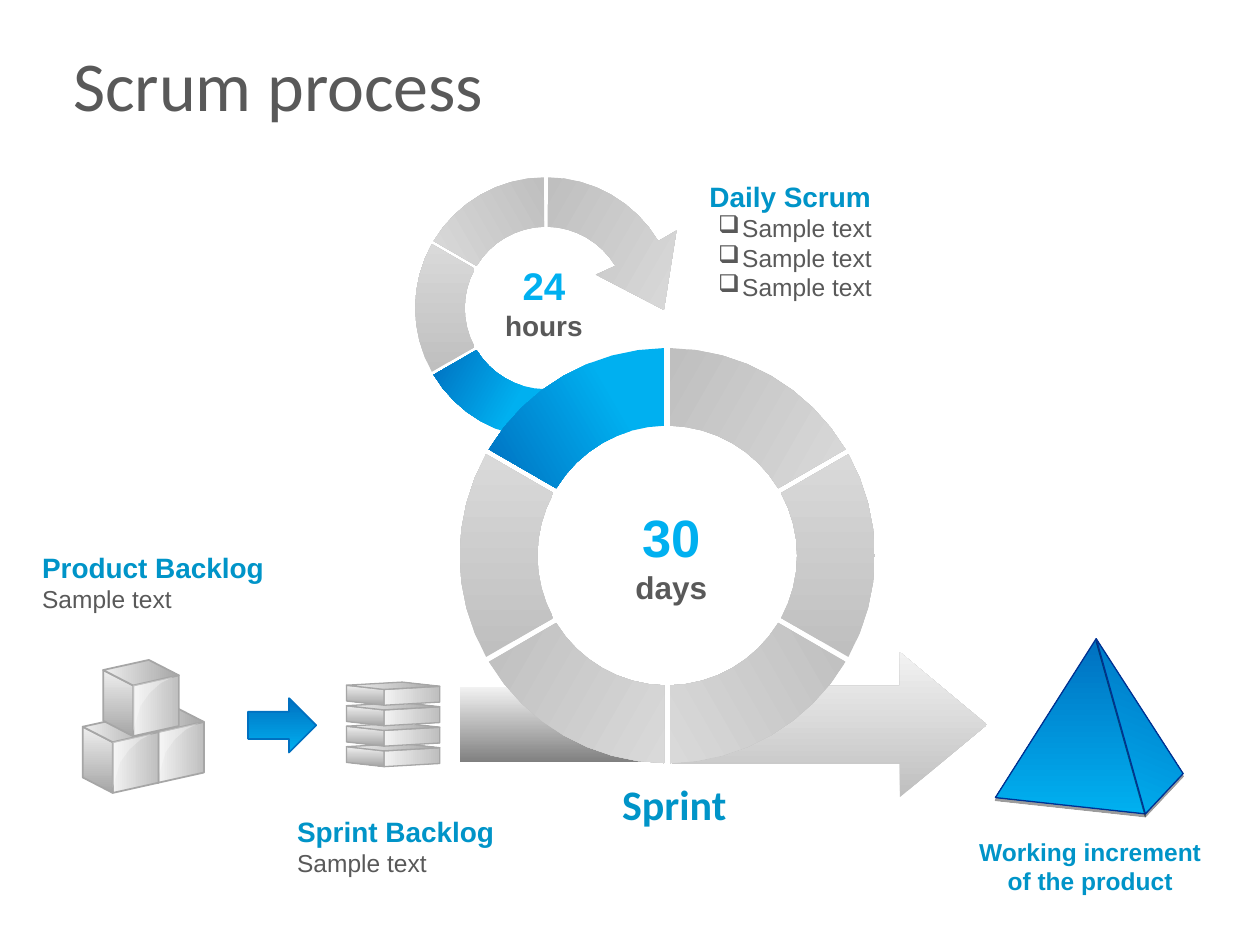
from dataclasses import dataclass
from math import asin, cos, degrees, radians, sin

from lxml.etree import SubElement
from pptx import Presentation
from pptx.dml.color import RGBColor
from pptx.enum.shapes import MSO_SHAPE
from pptx.enum.text import MSO_ANCHOR, MSO_AUTO_SIZE, PP_ALIGN
from pptx.oxml.ns import qn
from pptx.util import Pt


@dataclass(frozen=True)
class Theme:
    font: str = "Arial"
    title_font: str = "Calibri"
    text: str = "595959"
    heading: str = "0094C8"
    bright: str = "00B0F0"
    deep: str = "0070C0"
    navy: str = "003192"
    edge: str = "A6A6A6"
    white: str = "FFFFFF"
    shadow: str = "000000"
    silver: tuple = ("BFBFBF", "D9D9D9")
    light_face: tuple = ("F2F2F2", "BFBFBF")
    dark_face: tuple = ("EEEEEE", "A6A6A6")
    arrow: tuple = ("BFBFBF", "F2F2F2")
    tail: tuple = ("808080", "F2F2F2")
    title_size: int = 40
    big: int = 30
    sprint: int = 24
    medium: int = 22
    unit: int = 18
    head: int = 16
    body: int = 14


def polar(center, radius, angle):
    """Point at an angle measured clockwise from twelve o'clock."""
    a = radians(angle)
    return center[0] + radius * sin(a), center[1] - radius * cos(a)


def arc(center, radius, start, end, gap, steps=8):
    """Points of an arc whose ends keep a parallel gap to the radial lines."""
    inset = degrees(asin(gap / radius))
    first, last = start + inset, end - inset
    return [polar(center, radius, first + (last - first) * i / steps)
            for i in range(steps + 1)]


class Deck:
    def __init__(self, theme):
        self.theme = theme
        self.prs = Presentation()
        self.prs.slide_width, self.prs.slide_height = Pt(720), Pt(540)
        self.s = self.prs.slides.add_slide(self.prs.slide_layouts[5])

    def paint(self, sp, colors, angle, line=None, width=1, start=0):
        """Fill with a gradient whose angle runs clockwise from the right."""
        sp.shadow.inherit = False
        sp.fill.gradient()
        sp.fill.gradient_angle = (360 - angle) % 360
        for stop, color, position in zip(sp.fill.gradient_stops, colors, (start, 1)):
            stop.color.rgb = RGBColor.from_string(color)
            stop.position = position
        if line:
            sp.line.color.rgb = RGBColor.from_string(line)
            sp.line.width = Pt(width)
        else:
            sp.line.fill.background()
        return sp

    def outline(self, points):
        pts = [(Pt(x), Pt(y)) for x, y in points]
        builder = self.s.shapes.build_freeform(*pts[0])
        builder.add_line_segments(pts[1:], close=True)
        return builder.convert_to_shape()

    def polygon(self, points, colors, angle, line=None, width=1, start=0):
        return self.paint(self.outline(points), colors, angle, line, width, start)

    def preset(self, kind, box, adjustments, colors, angle, line=None):
        sp = self.s.shapes.add_shape(kind, *map(Pt, box))
        for i, value in enumerate(adjustments):
            sp.adjustments[i] = value
        return self.paint(sp, colors, angle, line)

    def highlight(self, points):
        sp = self.outline(points)
        sp.shadow.inherit = False
        sp.fill.solid()
        sp.fill.fore_color.rgb = RGBColor.from_string(self.theme.white)
        color = sp.element.spPr.find(qn("a:solidFill"))[0]
        SubElement(color, qn("a:alpha"), val="30000")
        sp.line.fill.background()

    def drop_shadow(self, sp):
        effects = sp.element.spPr.find(qn("a:effectLst"))
        shadow = SubElement(effects, qn("a:outerShdw"), blurRad="0",
                            dist=str(Pt(1.6)), dir="5400000", rotWithShape="0")
        color = SubElement(shadow, qn("a:srgbClr"), val=self.theme.shadow)
        SubElement(color, qn("a:alpha"), val="38000")

    def segment(self, ring, start, colors, angle, tip=(), stop=0):
        """Sixth of a ring (center, outer, inner, gap), with an optional arrow tip."""
        center, outer, inner, gap = ring
        end = start + 60
        points = (arc(center, outer, start, end, gap) + list(tip)
                  + arc(center, inner, start, end, gap)[::-1])
        self.polygon(points, colors, angle, start=stop)

    def block(self, x, y, east, west, height, width, shine=()):
        """Box seen from above; x, y is its front top corner."""
        t = self.theme
        (ex, ey), (wx, wy) = east, west
        right = [(0, 0), east, (ex, ey + height), (0, height)]
        left = [(0, 0), west, (wx, wy + height), (0, height)]
        top = [(0, 0), east, (ex + wx, ey + wy), west]
        for face, colors, angle in ((right, t.light_face, 0),
                                    (left, t.dark_face, 90), (top, t.dark_face, 0)):
            self.polygon([(x + a, y + b) for a, b in face], colors, angle, t.edge, width)
        if shine:
            self.highlight([(x + a, y + b) for a, b in shine])

    def format(self, p, size, color, bold, font=None):
        for r in p.runs:
            r.font.name = font or self.theme.font
            r.font.size, r.font.bold = Pt(size), bold
            r.font.color.rgb = RGBColor.from_string(color)

    def bullet(self, p):
        pPr = p._p.get_or_add_pPr()
        pPr.set("marL", str(Pt(18.7)))
        pPr.set("indent", str(Pt(-13.7)))
        color = SubElement(pPr, qn("a:buClr"))
        SubElement(color, qn("a:srgbClr"), val=self.theme.text)
        SubElement(pPr, qn("a:buChar"), char="❑")

    def label(self, box, lines, styles, align=PP_ALIGN.LEFT, wrap=False,
              bullets=False, font=None):
        """Text box: first style for the first line, last style for the others."""
        tf = self.s.shapes.add_textbox(*map(Pt, box)).text_frame
        tf.text = "\n".join(lines)
        tf.word_wrap = wrap
        tf.auto_size = MSO_AUTO_SIZE.SHAPE_TO_FIT_TEXT
        for i, p in enumerate(tf.paragraphs):
            if bullets and i:
                self.bullet(p)
            p.alignment = align
            self.format(p, *styles[-1 if i else 0], font=font)

    def title(self, text, box):
        sp = self.s.shapes.title
        sp.left, sp.top, sp.width, sp.height = map(Pt, box)
        tf = sp.text_frame
        tf.text = text
        tf.vertical_anchor = MSO_ANCHOR.MIDDLE
        p = tf.paragraphs[0]
        p.alignment = PP_ALIGN.LEFT
        self.format(p, self.theme.title_size, self.theme.text, False,
                    self.theme.title_font)


def main():
    t = Theme()
    deck = Deck(t)
    deck.title("Scrum process", (34.6, 18, 631.4, 59.8))
    blue = (t.bright, t.deep)

    shine = [(23, -5), (15.8, -1.4), (9.4, 4.3), (4.3, 11.5), (0, 26), (0, 0)]
    for x, y in ((90.4, 418.3), (64.4, 424.1), (76.1, 391.7)):
        deck.block(x, y, (26.1, -5.8), (-17.1, -8.8), 29, 1, shine)
    deck.preset(MSO_SHAPE.RIGHT_ARROW, (141.8, 399, 38.9, 31), (0.5, 0.5),
                blue, 270, t.deep)
    for i in range(4):
        deck.block(219.4, 429.1 - 11.7 * i, (31.9, -1.8), (-21.4, -2.4), 9, 0.75)

    day = ((312, 176), 74.7, 46.4, 1)
    tip = [(386.6, 131.8), (379.4, 177.1), (340.6, 157)]
    deck.segment(day, 240, t.silver, 270)
    deck.segment(day, 180, blue, 210, stop=0.3)
    deck.segment(day, 0, t.silver, 30, tip)
    deck.segment(day, 300, t.silver, 150)

    deck.preset(MSO_SHAPE.RIGHT_ARROW, (383.8, 372.7, 180.2, 82.8), (0.534, 0.601),
                t.arrow, 270)
    deck.preset(MSO_SHAPE.RECTANGLE, (262.8, 392.4, 115.9, 43.2), (), t.tail, 270)

    month = ((381.3, 317.5), 118.6, 74.2, 1.6)
    for i, angle in enumerate((30, 270, 150, 30, 270)):
        deck.segment(month, 60 * i, t.silver, angle)
    deck.segment(month, 300, blue, 150, stop=0.3)

    heading, body = (t.head, t.heading, True), (t.body, t.text, False)
    center = PP_ALIGN.CENTER
    deck.label((354.4, 285.1, 58.4, 64.8), ["30", "days"],
               [(t.big, t.bright, True), (t.unit, t.text, True)], center)
    deck.label((279.8, 146.2, 62, 52.6), ["24", "hours"],
               [(t.medium, t.bright, True), (t.head, t.text, True)], center)
    deck.label((17, 311, 144, 43.2), ["Product Backlog", "Sample text"],
               [heading, body])
    deck.label((162.7, 461.8, 130, 43.2), ["Sprint Backlog", "Sample text"],
               [heading, body])
    deck.label((348.4, 441.4, 77, 36), ["Sprint"],
               [(t.sprint, t.heading, True)], font=t.title_font)
    deck.label((398.3, 99.1, 110, 77), ["Daily Scrum"] + ["Sample text"] * 3,
               [heading, body], bullets=True)
    deck.label((551, 474.5, 144, 41), ["Working increment of the product"],
               [(t.body, t.heading, True)], center, wrap=True)

    apex, front = (626.4, 365), (654.5, 465.1)
    for corners, angle in (([apex, front, (568.8, 455.8)], 90),
                           ([apex, (676.1, 442.1), front], 112)):
        deck.drop_shadow(deck.polygon(corners, blue[::-1], angle, t.navy, 0.75))

    deck.prs.save("out.pptx")


if __name__ == "__main__":
    main()
